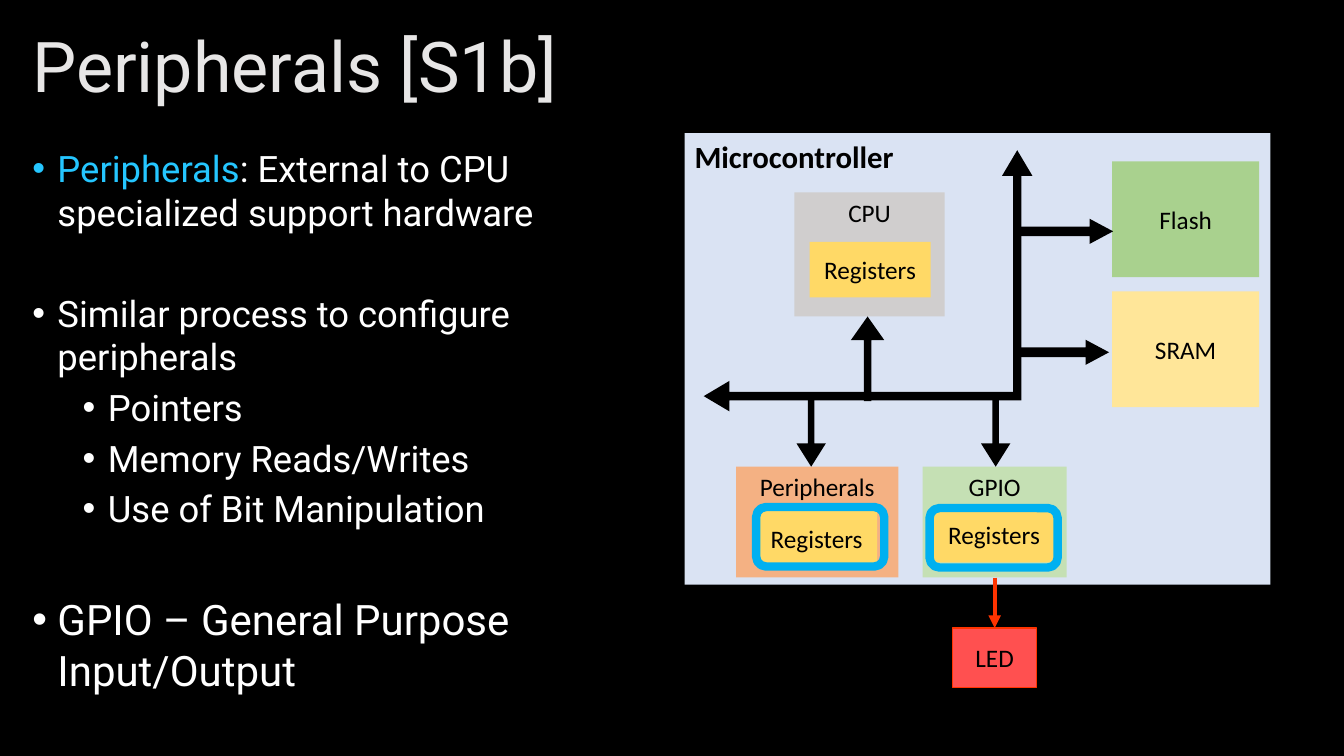
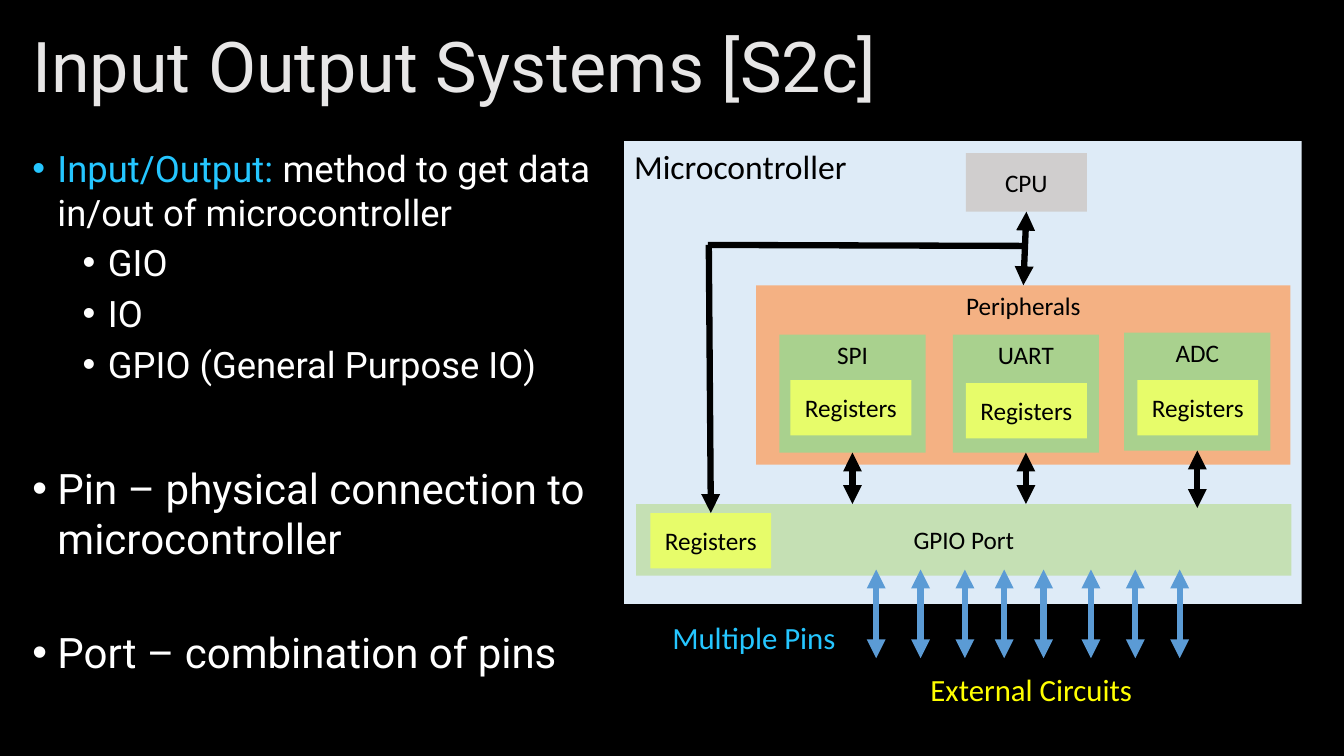
from lxml.etree import SubElement
from pptx import Presentation
from pptx.dml.color import RGBColor
from pptx.enum.shapes import MSO_CONNECTOR, MSO_SHAPE
from pptx.enum.text import MSO_ANCHOR, MSO_AUTO_SIZE, PP_ALIGN
from pptx.oxml.ns import qn
from pptx.util import Inches, Pt

BLACK, WHITE, TITLE_GREY, CYAN = "000000", "FFFFFF", "E7E6E6", "25C6FF"
GREY, ORANGE, GREEN, PALE_GREEN = "D0CECE", "F4B183", "A9D18E", "C5E0B4"
GOLD, SAND, LIME, YELLOW = "FFD966", "FFE699", "E7FC6A", "FFFF00"
PANEL_BLUE, PANEL_PALE, RING_BLUE, PIN_BLUE = "DAE3F3", "DEEBF7", "00B0F0", "5B9BD5"
RED, RED_EDGE = "FF5050", "FF3300"
TITLE_FONT, DIAGRAM_FONT = "Roboto", "Calibri"
REGISTER_SIZE = (1.2, 0.55)
BOTH_ENDS = ("headEnd", "tailEnd")
TOP, BOTTOM = 0, 2


def rgb(value):
    return RGBColor.from_string(value)


def style(run, font, size, color, bold=False):
    run.font.name = font
    run.font.size = Pt(size)
    run.font.color.rgb = rgb(color)
    run.font.bold = bold


def place(item, left, top, width, height):
    item.left, item.top = Inches(left), Inches(top)
    item.width, item.height = Inches(width), Inches(height)


def add_slide(prs, title, body_width, body_height, items):
    slide = prs.slides.add_slide(prs.slide_layouts[1])
    heading = slide.shapes.title
    place(heading, 0.22, 0.21, 12.89, 0.97)
    frame = heading.text_frame
    frame.text = title
    frame.auto_size = MSO_AUTO_SIZE.NONE
    frame.vertical_anchor = MSO_ANCHOR.MIDDLE
    frame.paragraphs[0].alignment = PP_ALIGN.LEFT
    frame.paragraphs[0].line_spacing = 0.9
    style(frame.paragraphs[0].runs[0], TITLE_FONT, 50, TITLE_GREY)
    body = slide.placeholders[1]
    place(body, 0.22, 1.4, body_width, body_height)
    add_list(body.text_frame, items)
    return slide


def add_list(frame, items):
    frame.auto_size = MSO_AUTO_SIZE.NONE
    frame.vertical_anchor = MSO_ANCHOR.TOP
    for index, (level, size, space, parts) in enumerate(items):
        paragraph = frame.paragraphs[0] if index == 0 else frame.add_paragraph()
        paragraph.level = level
        paragraph.space_before = Pt(space)
        paragraph.line_spacing = 1.0
        props = paragraph._p.get_or_add_pPr()
        props.set("marL", str(Inches(0.75 if level else 0.25)))
        props.set("indent", str(Inches(-0.25)))
        SubElement(props, qn("a:buFont"), typeface="Arial")
        SubElement(props, qn("a:buChar"), char="•")
        for text, color in parts:
            run = paragraph.add_run()
            run.text = text
            style(run, TITLE_FONT, size, color)


def add_figure(slide, kind, bounds, fill=None, line=None, line_width=1):
    figure = slide.shapes.add_shape(kind, *map(Inches, bounds))
    figure.shadow.inherit = False
    if fill:
        figure.fill.solid()
        figure.fill.fore_color.rgb = rgb(fill)
    else:
        figure.fill.background()
    if line:
        figure.line.color.rgb = rgb(line)
        figure.line.width = Pt(line_width)
    else:
        figure.line.fill.background()
    return figure


def add_block(slide, text, bounds, fill, anchor=MSO_ANCHOR.MIDDLE,
              align=PP_ALIGN.CENTER, size=18, bold=False, line=None):
    block = add_figure(slide, MSO_SHAPE.RECTANGLE, bounds, fill, line)
    frame = block.text_frame
    frame.text = text
    frame.vertical_anchor = anchor
    frame.paragraphs[0].alignment = align
    style(frame.paragraphs[0].runs[0], DIAGRAM_FONT, size, BLACK, bold)
    return block


def add_module(slide, text, bounds, fill):
    return add_block(slide, text, bounds, fill, MSO_ANCHOR.TOP)


def add_panel(slide, bounds, fill, size, bold=False):
    add_block(slide, "Microcontroller", bounds, fill, MSO_ANCHOR.TOP,
              PP_ALIGN.LEFT, size, bold)


def add_registers(slide, left, top, fill):
    return add_block(slide, "Registers", (left, top, *REGISTER_SIZE), fill)


def add_bus_arrow(slide, kind, bounds, adjustments, rotation=0):
    arrow = add_figure(slide, kind, bounds, BLACK)
    arrow.rotation = rotation
    for index, value in enumerate(adjustments):
        arrow.adjustments[index] = value


def add_link(slide, start, end, color=BLACK, width=4.5, heads=BOTH_ENDS,
             source=None, target=None):
    link = slide.shapes.add_connector(
        MSO_CONNECTOR.STRAIGHT, *map(Inches, (*start, *end)))
    if source:
        link.begin_connect(source, BOTTOM)
    if target:
        link.end_connect(target, TOP)
    link.line.color.rgb = rgb(color)
    link.line.width = Pt(width)
    outline = link.line._get_or_add_ln()
    for head in heads:
        SubElement(outline, qn(f"a:{head}"), type="triangle")
    SubElement(link._element.spPr, qn("a:effectLst"))


def add_caption(slide, text, bounds, color):
    caption = slide.shapes.add_textbox(*map(Inches, bounds))
    caption.text_frame.text = text
    caption.text_frame.word_wrap = False
    style(caption.text_frame.paragraphs[0].runs[0], DIAGRAM_FONT, 22, color)


def build_peripherals(prs):
    slide = add_slide(prs, "Peripherals [S1b]", 6.57, 5.75, [
        (0, 26, 0, [("Peripherals", CYAN),
                    (": External to CPU specialized support hardware", WHITE)]),
        (0, 26, 41, [("Similar process to configure peripherals", WHITE)]),
        (1, 26, 5, [("Pointers", WHITE)]),
        (1, 26, 5, [("Memory Reads/Writes", WHITE)]),
        (1, 26, 5, [("Use of Bit Manipulation", WHITE)]),
        (0, 30, 45.5, [("GPIO – General Purpose Input/Output", WHITE)]),
    ])
    add_panel(slide, (6.79, 1.32, 5.81, 4.48), PANEL_BLUE, 22, True)
    gpio = add_module(slide, "GPIO", (9.15, 4.63, 1.43, 1.1), PALE_GREEN)
    add_module(slide, "CPU", (7.88, 1.91, 1.49, 1.23), GREY)
    add_module(slide, "Peripherals", (7.3, 4.63, 1.61, 1.1), ORANGE)
    add_block(slide, "Flash", (11.03, 1.6, 1.46, 1.15), GREEN)
    add_block(slide, "SRAM", (11.03, 2.89, 1.46, 1.15), SAND)

    add_bus_arrow(slide, MSO_SHAPE.LEFT_UP_ARROW, (6.98, 1.49, 3.26, 2.59),
                  (0.032, 0.058, 0.098))
    add_bus_arrow(slide, MSO_SHAPE.UP_ARROW, (8.44, 3.14, 0.33, 0.84), (0.222, 0.708))
    for left in (7.9, 9.73):
        add_bus_arrow(slide, MSO_SHAPE.UP_ARROW, (left, 3.96, 0.29, 0.67),
                      (0.222, 0.795), 180)
    for left, top in ((10.44, 1.82), (10.4, 3.02)):
        add_bus_arrow(slide, MSO_SHAPE.UP_ARROW, (left, top, 0.25, 0.95),
                      (0.382, 0.936), 90)

    for left, top in ((9.26, 5.03), (8.03, 2.4), (7.5, 5.07)):
        add_registers(slide, left, top, GOLD)
    for left, top in ((7.5, 5.03), (9.22, 5.04)):
        add_figure(slide, MSO_SHAPE.ROUNDED_RECTANGLE, (left, top, 1.27, 0.59),
                   line=RING_BLUE, line_width=6)
    led = add_block(slide, "LED", (9.45, 6.23, 0.83, 0.59), RED, line=RED_EDGE)
    add_link(slide, (9.86, 5.73), (9.86, 6.23), RED_EDGE, 3, ("tailEnd",), gpio, led)


def build_input_output(prs):
    slide = add_slide(prs, "Input Output Systems [S2c]", 5.85, 5.45, [
        (0, 26, 0, [("Input/Output:", CYAN),
                    (" method to get data in/out of microcontroller", WHITE)]),
        (1, 26, 5, [("GIO", WHITE)]),
        (1, 26, 5, [("IO", WHITE)]),
        (1, 26, 5, [("GPIO (General Purpose IO)", WHITE)]),
        (0, 30, 55, [("Pin – physical connection to microcontroller", WHITE)]),
        (0, 30, 45.5, [("Port – combination of pins", WHITE)]),
    ])
    add_panel(slide, (6.19, 1.4, 6.72, 4.59), PANEL_PALE, 24)
    add_block(slide, "GPIO Port", (6.31, 5, 6.5, 0.71), PALE_GREEN)
    cpu = add_block(slide, "CPU", (9.58, 1.52, 1.2, 0.58), GREY)
    peripherals = add_module(slide, "Peripherals", (7.5, 2.83, 5.3, 1.78), ORANGE)
    port_registers = add_registers(slide, 6.45, 5.09, LIME)

    for name, left, top, registers_left, registers_top, link_end in (
            ("SPI", 7.73, 3.32, 7.84, 3.77, 5),
            ("UART", 9.45, 3.32, 9.58, 3.8, 5),
            ("ADC", 11.15, 3.3, 11.28, 3.77, 5.04)):
        module = add_module(slide, name, (left, top, 1.45, 1.17), GREEN)
        add_registers(slide, registers_left, registers_top, LIME)
        center = left + 1.45 / 2
        add_link(slide, (center, top + 1.17), (center, link_end), source=module)

    add_link(slide, (7.03, 2.43), (7.05, 5.09), heads=("tailEnd",),
             target=port_registers)
    add_link(slide, (7.02, 2.43), (10.18, 2.44), heads=())
    add_link(slide, (10.18, 2.1), (10.15, 2.83), source=cpu, target=peripherals)
    for pin in (8.69, 9.13, 9.57, 9.96, 10.35, 10.82, 11.26, 11.7):
        add_link(slide, (pin, 5.65), (pin, 6.53), PIN_BLUE)
    add_caption(slide, "External Circuits", (9.13, 6.61, 2.22, 0.47), YELLOW)
    add_caption(slide, "Multiple Pins", (6.57, 6.09, 1.84, 0.47), CYAN)


def main():
    prs = Presentation()
    prs.slide_width, prs.slide_height = Inches(13.33), Inches(7.5)
    backdrop = prs.slide_master.background.fill
    backdrop.solid()
    backdrop.fore_color.rgb = rgb(BLACK)
    build_peripherals(prs)
    build_input_output(prs)
    prs.save("out.pptx")


if __name__ == "__main__":
    main()
